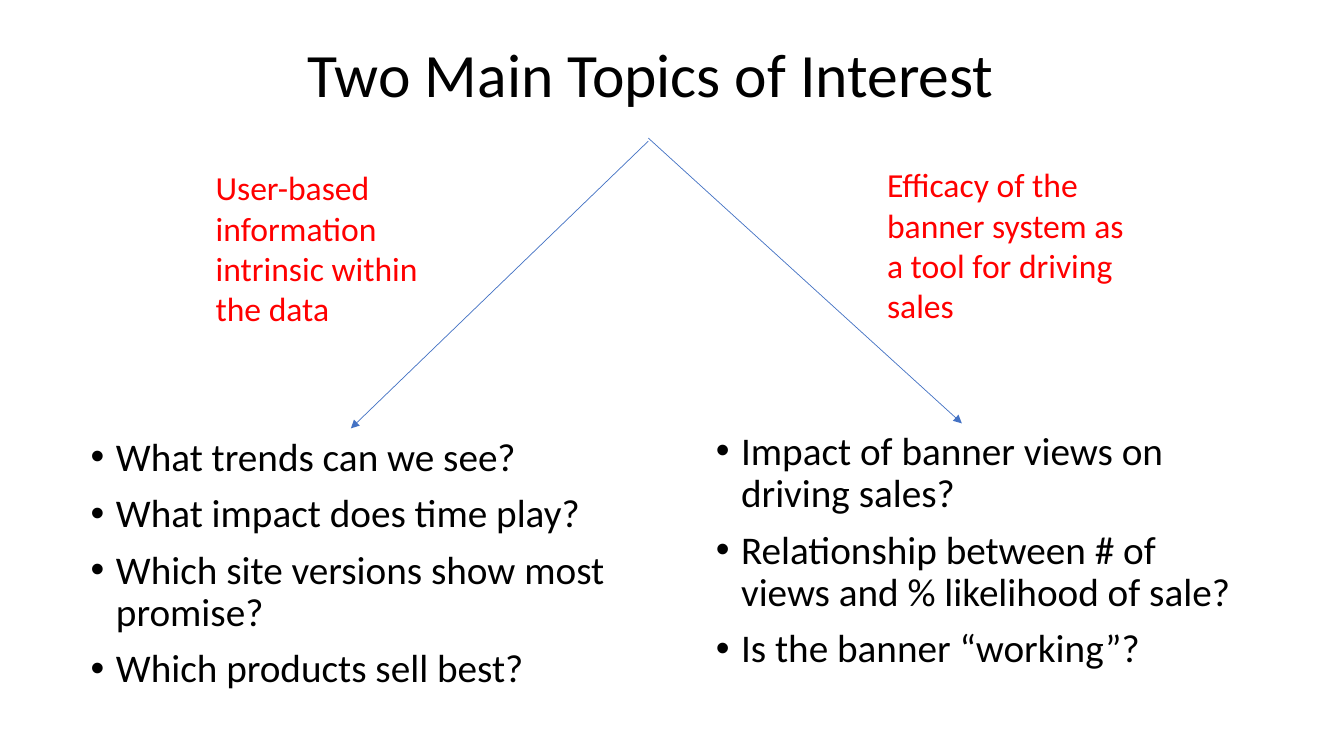
from dataclasses import dataclass

from lxml import etree
from pptx import Presentation
from pptx.dml.color import RGBColor
from pptx.enum.shapes import MSO_CONNECTOR
from pptx.enum.text import MSO_ANCHOR, MSO_AUTO_SIZE, PP_ALIGN
from pptx.oxml.ns import qn
from pptx.util import Inches, Pt

FONT = "Calibri"
BLACK, RED, BLUE = "000000", "FF0000", "4472C4"


@dataclass
class Box:
    left: float
    top: float
    width: float
    height: float


@dataclass
class Topic:
    label: str
    label_box: Box
    arrow_start: tuple[float, float]
    arrow_end: tuple[float, float]
    questions: list[str]
    questions_box: Box


TOPICS = [
    Topic(
        "User-based information intrinsic within the data",
        Box(2.04, 1.61, 2.6, 1.72),
        (6.43, 1.4),
        (3.48, 4.25),
        [
            "What trends can we see?",
            "What impact does time play?",
            "Which site versions show most promise?",
            "Which products sell best?",
        ],
        Box(0.8, 4.29, 5.35, 2.8),
    ),
    Topic(
        "Efficacy of the banner system as a tool for driving sales",
        Box(8.7, 1.58, 2.6, 1.72),
        (6.43, 1.37),
        (9.54, 4.2),
        [
            "Impact of banner views on driving sales?",
            "Relationship between # of views and % likelihood of sale?",
            "Is the banner “working”?",
        ],
        Box(7, 4.23, 5.35, 2.8),
    ),
]


def rgb(value: str) -> RGBColor:
    return RGBColor.from_string(value)


def place(shape, box: Box) -> None:
    shape.left, shape.top = Inches(box.left), Inches(box.top)
    shape.width, shape.height = Inches(box.width), Inches(box.height)


def write(shape, lines: list[str], size: int, color: str,
          anchor=MSO_ANCHOR.TOP, auto_size=MSO_AUTO_SIZE.NONE) -> list:
    frame = shape.text_frame
    frame.text = "\n".join(lines)
    frame.word_wrap = True
    frame.vertical_anchor = anchor
    frame.auto_size = auto_size
    for paragraph in frame.paragraphs:
        paragraph.alignment = PP_ALIGN.LEFT
        font = paragraph.runs[0].font
        font.name, font.size = FONT, Pt(size)
        font.color.rgb = rgb(color)
    return list(frame.paragraphs)


def add_bullet(paragraph) -> None:
    paragraph.line_spacing = 0.9
    paragraph.space_before = Pt(10)
    paragraph.space_after = Pt(0)
    properties = paragraph._p.get_or_add_pPr()
    properties.set("marL", str(Inches(0.25)))
    properties.set("indent", str(Inches(-0.25)))
    etree.SubElement(properties, qn("a:buFont"), typeface="Arial")
    etree.SubElement(properties, qn("a:buChar"), char="•")


def add_arrow(slide, start: tuple[float, float], end: tuple[float, float]) -> None:
    arrow = slide.shapes.add_connector(
        MSO_CONNECTOR.STRAIGHT, *map(Inches, start + end))
    arrow.line.color.rgb = rgb(BLUE)
    arrow.line.width = Pt(0.5)
    etree.SubElement(arrow.line._get_or_add_ln(), qn("a:tailEnd"), type="triangle")
    etree.SubElement(arrow._element.spPr, qn("a:effectLst"))


def add_topic(slide, topic: Topic, placeholder) -> None:
    place(placeholder, topic.questions_box)
    for paragraph in write(placeholder, topic.questions, 28, BLACK):
        add_bullet(paragraph)
    add_arrow(slide, topic.arrow_start, topic.arrow_end)
    label = slide.shapes.add_textbox(0, 0, 0, 0)
    place(label, topic.label_box)
    write(label, [topic.label], 24, RED, auto_size=MSO_AUTO_SIZE.SHAPE_TO_FIT_TEXT)


def main() -> None:
    deck = Presentation()
    deck.slide_width, deck.slide_height = Inches(13.33), Inches(7.5)
    two_content = deck.slide_layouts.get_by_name("Two Content")
    slide = deck.slides.add_slide(two_content)
    slide.background.fill.solid()
    slide.background.fill.fore_color.rgb = rgb("FFFFFF")

    title = slide.shapes.title
    place(title, Box(2.95, 0.04, 11.5, 1.45))
    heading = write(title, ["Two Main Topics of Interest"], 44, BLACK, MSO_ANCHOR.MIDDLE)
    heading[0].line_spacing = 0.9

    for topic, index in zip(TOPICS, (1, 2)):
        add_topic(slide, topic, slide.placeholders[index])
    deck.save("out.pptx")


main()
